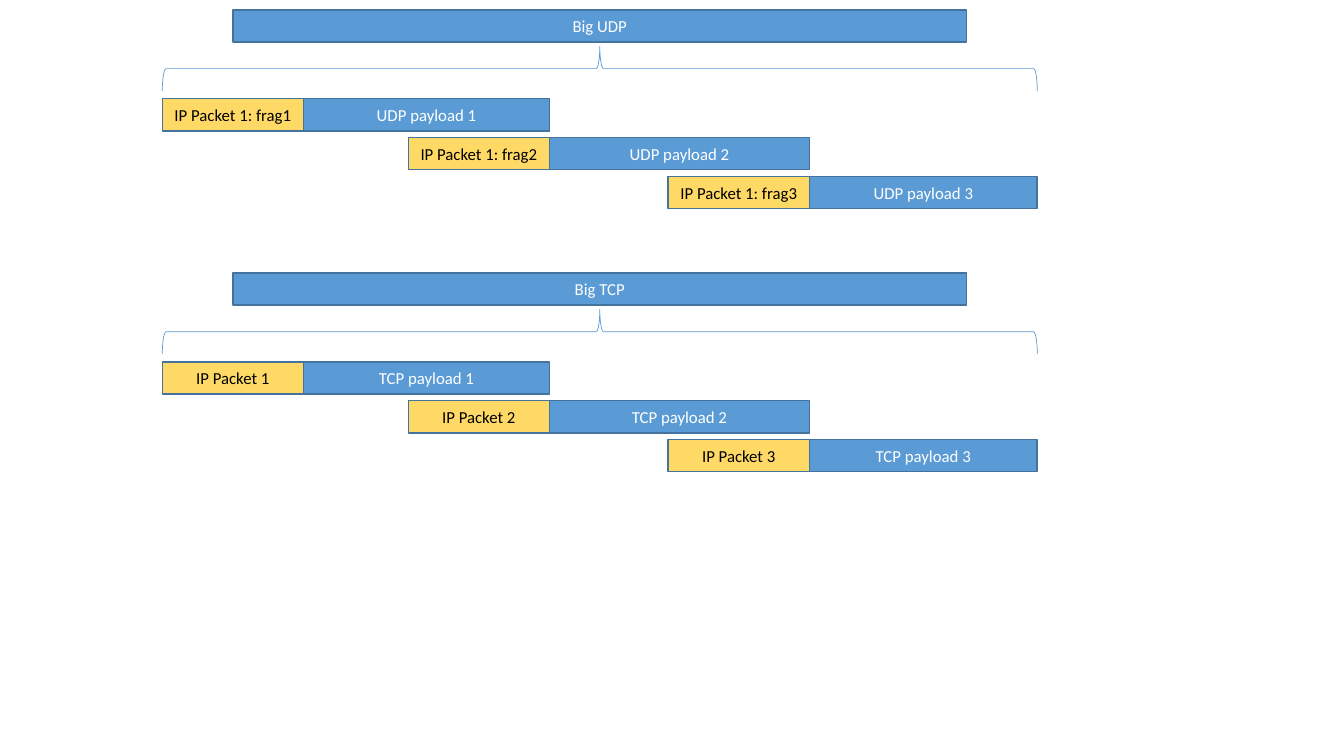
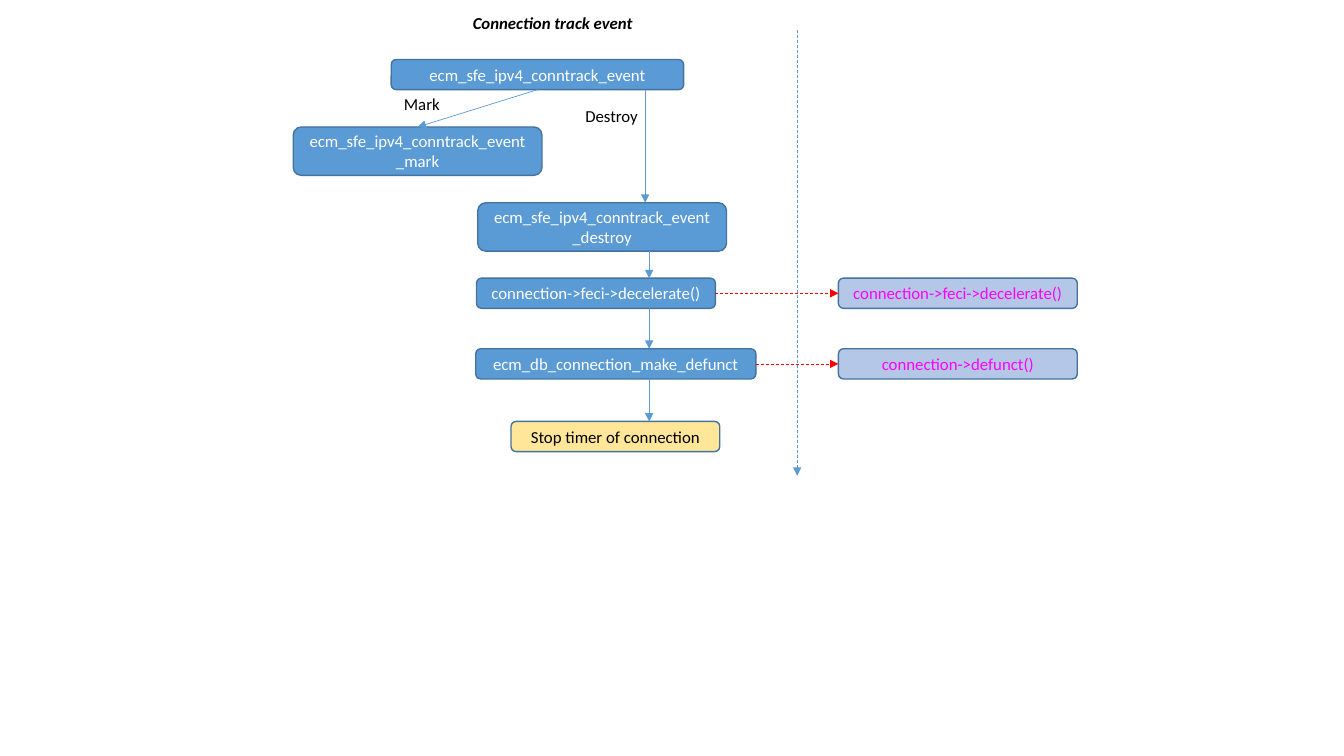
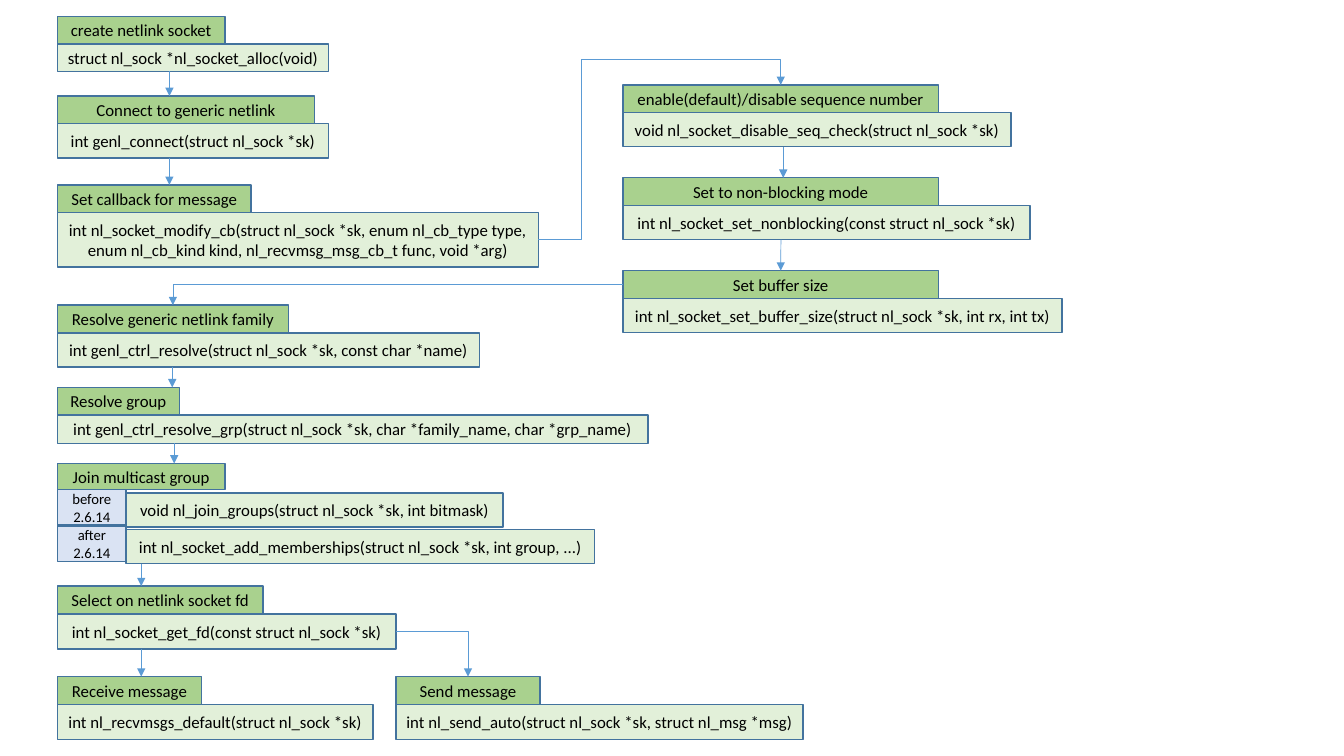
from dataclasses import dataclass

from lxml.etree import SubElement
from pptx import Presentation
from pptx.dml.color import RGBColor
from pptx.enum.dml import MSO_LINE
from pptx.enum.shapes import MSO_CONNECTOR, MSO_SHAPE
from pptx.enum.text import MSO_ANCHOR, MSO_AUTO_SIZE, PP_ALIGN
from pptx.oxml.ns import qn
from pptx.shapes.autoshape import Shape
from pptx.shapes.connector import Connector
from pptx.slide import Slide
from pptx.util import Cm, Pt

HUES = {
    "blue": "5B9BD5", "edge": "43739E", "gold": "FFD966", "cream": "FFE699",
    "haze": "B4C7E7", "ice": "DAE3F3", "leaf": "A9D18E", "mint": "E2F0D9",
    "pink": "FF00FF", "red": "FF0000", "white": "FFFFFF", "black": "000000",
}
FONT = "Calibri"
TOP, LEFT, BOTTOM, RIGHT = range(4)


@dataclass
class Box:
    text: str
    x: float
    y: float
    w: float
    h: float
    fill: str = "blue"
    ink: str = "white"
    size: float = 12
    kind: MSO_SHAPE = MSO_SHAPE.RECTANGLE


@dataclass
class Step:
    """A heading with the call that carries it out below."""
    key: str
    x: float
    y: float
    head: str
    width: float
    call: str
    span: float
    high: float = 0.86


def hue(name: str) -> RGBColor:
    return RGBColor.from_string(HUES[name])


def write(shape: Shape, text: str, ink: str = "black", size: float = 12,
          align: PP_ALIGN = PP_ALIGN.LEFT) -> None:
    shape.text_frame.text = text
    para = shape.text_frame.paragraphs[0]
    para.alignment = align
    para.font.name = FONT
    para.font.size = Pt(size)
    para.font.color.rgb = hue(ink)


def draw(slide: Slide, box: Box) -> Shape:
    shape = slide.shapes.add_shape(
        box.kind, Cm(box.x), Cm(box.y), Cm(box.w), Cm(box.h))
    shape.shadow.inherit = False
    shape.fill.solid()
    shape.fill.fore_color.rgb = hue(box.fill)
    shape.line.color.rgb = hue("edge")
    shape.line.width = Pt(1)
    write(shape, box.text, box.ink, box.size, PP_ALIGN.CENTER)
    return shape


def label(slide: Slide, text: str, x: float, y: float, w: float) -> None:
    note = slide.shapes.add_textbox(Cm(x), Cm(y), Cm(w), Cm(0.76))
    note.text_frame.word_wrap = False
    write(note, text)


def style(line: Connector, ink: str = "blue", dash: bool = False) -> None:
    line.line.color.rgb = hue(ink)
    line.line.width = Pt(0.5)
    if dash:
        line.line.dash_style = MSO_LINE.DASH
    props = line.element.spPr
    SubElement(props.find(qn("a:ln")), qn("a:tailEnd"), type="triangle")
    SubElement(props, qn("a:effectLst"))


def drop(slide: Slide, x: float, upper: Shape, lower: Shape) -> None:
    """Point straight down from one box to the next, joined where x is a middle."""
    line = slide.shapes.add_connector(
        MSO_CONNECTOR.STRAIGHT, Cm(x), upper.top + upper.height, Cm(x), lower.top)
    if abs(upper.left + upper.width / 2 - Cm(x)) < Cm(0.02):
        line.begin_connect(upper, BOTTOM)
    if abs(lower.left + lower.width / 2 - Cm(x)) < Cm(0.02):
        line.end_connect(lower, TOP)
    style(line)


def spot(shape: Shape, side: int) -> tuple[int, int]:
    """Middle of a side."""
    x, y, w, h = shape.left, shape.top, shape.width, shape.height
    return {TOP: (x + w // 2, y), LEFT: (x, y + h // 2),
            BOTTOM: (x + w // 2, y + h), RIGHT: (x + w, y + h // 2)}[side]


def link(slide: Slide, start: Shape, out: int, end: Shape, into: int,
         kind: MSO_CONNECTOR = MSO_CONNECTOR.STRAIGHT,
         ink: str = "blue", dash: bool = False) -> Connector:
    line = slide.shapes.add_connector(kind, *spot(start, out), *spot(end, into))
    line.begin_connect(start, out)
    line.end_connect(end, into)
    style(line, ink, dash)
    return line


def bend(slide: Slide, start: Shape, out: int, end: Shape,
         preset: str, *turns: int) -> None:
    """Join two boxes by right angles; turns are thousandths of a percent."""
    line = link(slide, start, out, end, TOP, MSO_CONNECTOR.ELBOW)
    shape = line.element.spPr.find(qn("a:prstGeom"))
    shape.set("prst", preset)
    marks = shape.find(qn("a:avLst"))
    for num, turn in enumerate(turns, 1):
        SubElement(marks, qn("a:gd"), name=f"adj{num}", fmla=f"val {turn}")


def stack(slide: Slide, name: str, heads: list[str], y: float) -> None:
    """One big datagram and the staggered packets that carry it."""
    high, pitch, lead = 0.81, 0.98, 3.56
    cuts = [7.65, 13.85, 20.4, 26.14]
    left = cuts[0] - lead
    draw(slide, Box(f"Big {name}", 5.87, y, 18.49, high))
    for num, head in enumerate(heads):
        x, row = cuts[num], y + 2.24 + num * pitch
        draw(slide, Box(f"{name} payload {num + 1}", x, row, cuts[num + 1] - x, high))
        draw(slide, Box(head, x - lead, row, lead, high, "gold", "black"))

    span, deep = cuts[-1] - left, 1.12
    brace = slide.shapes.add_shape(
        MSO_SHAPE.LEFT_BRACE, Cm(left + (span - deep) / 2),
        Cm(y + 1.48 - span / 2), Cm(deep), Cm(span))
    brace.rotation = 90
    brace.shadow.inherit = False
    brace.fill.background()
    brace.line.color.rgb = hue("blue")
    brace.line.width = Pt(0.5)


def packets(slide: Slide) -> None:
    stack(slide, "UDP", [f"IP Packet 1: frag{num}" for num in (1, 2, 3)], 0.25)
    stack(slide, "TCP", [f"IP Packet {num}" for num in (1, 2, 3)], 6.88)


def events(slide: Slide) -> None:
    title = slide.shapes.title
    title.left, title.top, title.width, title.height = Cm(11.66), Cm(0.2), Cm(4.6), Cm(0.76)
    frame = title.text_frame
    frame.word_wrap = False
    frame.auto_size = MSO_AUTO_SIZE.NONE
    frame.vertical_anchor = MSO_ANCHOR.TOP
    write(title, "Connection track event")
    font = frame.paragraphs[0].font
    font.bold = font.italic = True

    def node(text: str, x: float, y: float, w: float, h: float = 0.76,
             fill: str = "blue", ink: str = "white") -> Shape:
        return draw(slide, Box(text, x, y, w, h, fill, ink,
                               kind=MSO_SHAPE.ROUNDED_RECTANGLE))

    event = "ecm_sfe_ipv4_conntrack_event"
    slow = "connection->feci->decelerate()"
    root = node(event, 9.86, 1.5, 7.37)
    kill = node(f"{event}_destroy", 12.04, 5.11, 6.27, 1.22)
    mark = node(f"{event}_mark", 7.39, 3.2, 6.27, 1.22)
    brake = node(slow, 12.01, 7.01, 6.02)
    void = node("ecm_db_connection_make_defunct", 11.99, 8.79, 7.06)
    stop = node("Stop timer of connection", 12.88, 10.62, 5.26,
                fill="cream", ink="black")
    label(slide, "Destroy", 14.5, 2.54, 1.85)
    label(slide, "Mark", 9.93, 2.24, 1.42)

    link(slide, root, BOTTOM, mark, TOP)
    drop(slide, 16.26, root, kill)
    for upper, lower in ((kill, brake), (brake, void), (void, stop)):
        drop(slide, 16.36, upper, lower)
    border = slide.shapes.add_connector(
        MSO_CONNECTOR.STRAIGHT, Cm(20.09), Cm(0.76), Cm(20.09), Cm(11.99))
    style(border, dash=True)
    for source, text, y in ((brake, slow, 7.01), (void, "connection->defunct()", 8.79)):
        hook = node(text, 21.13, y, 6.02, fill="haze", ink="pink")
        link(slide, source, RIGHT, hook, LEFT, ink="red", dash=True)


WEST, EAST = 1.45, 15.7
STEPS = [
    Step("alloc", WEST, 0.41, "create netlink socket", 4.22,
         "struct nl_sock *nl_socket_alloc(void)", 6.83, 0.69),
    Step("connect", WEST, 2.42, "Connect to generic netlink", 6.48,
         "int genl_connect(struct nl_sock *sk)", 6.83),
    Step("hook", WEST, 4.66, "Set callback for message", 4.88,
         "int nl_socket_modify_cb(struct nl_sock *sk, enum nl_cb_type type, "
         "enum nl_cb_kind kind, nl_recvmsg_msg_cb_t func, void *arg)", 12.12, 1.37),
    Step("check", EAST, 2.14, "enable(default)/disable sequence number", 7.95,
         "void nl_socket_disable_seq_check(struct nl_sock *sk)", 9.78),
    Step("block", EAST, 4.48, "Set to non-blocking mode", 7.95,
         "int nl_socket_set_nonblocking(const struct nl_sock *sk)", 10.26),
    Step("buffer", EAST, 6.82, "Set buffer size", 7.95,
         "int nl_socket_set_buffer_size(struct nl_sock *sk, int rx, int tx)", 11.07),
    Step("family", WEST, 7.69, "Resolve generic netlink family", 5.82,
         "int genl_ctrl_resolve(struct nl_sock *sk, const char *name)", 10.64),
    Step("group", WEST, 9.76, "Resolve group", 3.07,
         "int genl_ctrl_resolve_grp(struct nl_sock *sk, char *family_name, "
         "char *grp_name)", 14.88, 0.71),
    Step("select", WEST, 14.77, "Select on netlink socket fd", 5.18,
         "int nl_socket_get_fd(const struct nl_sock *sk)", 8.53, 0.89),
    Step("get", WEST, 17.05, "Receive message", 3.63,
         "int nl_recvmsgs_default(struct nl_sock *sk)", 7.95, 0.89),
    Step("send", 9.98, 17.05, "Send message", 3.63,
         "int nl_send_auto(struct nl_sock *sk, struct nl_msg *msg)", 10.26, 0.89),
]
JOINS = [
    ("before 2.6.14", "void nl_join_groups(struct nl_sock *sk, int bitmask)", 9.5),
    ("after 2.6.14",
     "int nl_socket_add_memberships(struct nl_sock *sk, int group, ...)", 11.81),
]
DROPS = [
    (4.27, "alloc", "connect"), (4.27, "connect", "hook"),
    (19.74, "check", "block"), (19.68, "block", "buffer"),
    (4.34, "family", "group"), (4.39, "group", "join"),
    (3.56, "join", "select"), (3.56, "select", "get"),
]


def sockets(slide: Slide) -> None:
    high = 0.7
    heads: dict[str, Shape] = {}
    calls: dict[str, Shape] = {}
    for step in STEPS:
        calls[step.key] = draw(slide, Box(
            step.call, step.x, step.y + high, step.span, step.high, "mint", "black"))
        heads[step.key] = draw(slide, Box(
            step.head, step.x, step.y, step.width, high, "leaf", "black"))

    heads["join"] = draw(slide, Box(
        "Join multicast group", WEST, 11.68, 4.22, 0.66, "leaf", "black"))
    wide = 1.73
    for num, (since, call, span) in enumerate(JOINS):
        y = 12.34 + num * 0.92
        calls["join"] = draw(slide, Box(
            call, WEST + wide, y + 0.08, span, 0.86, "mint", "black"))
        draw(slide, Box(since, WEST, y, wide, 0.89, "ice", "black", 10.5))

    for x, upper, lower in DROPS:
        drop(slide, x, calls[upper], heads[lower])
    bend(slide, calls["hook"], RIGHT, heads["check"], "bentConnector4", 17600, 116200)
    bend(slide, heads["buffer"], LEFT, heads["family"], "bentConnector2")
    bend(slide, calls["select"], RIGHT, heads["send"], "bentConnector2")


def main() -> None:
    deck = Presentation()
    deck.slide_width, deck.slide_height = Cm(33.87), Cm(19.05)
    titled, blank = deck.slide_layouts[5], deck.slide_layouts[6]
    for layout, fill in ((blank, packets), (titled, events), (blank, sockets)):
        fill(deck.slides.add_slide(layout))
    deck.save("out.pptx")


if __name__ == "__main__":
    main()
